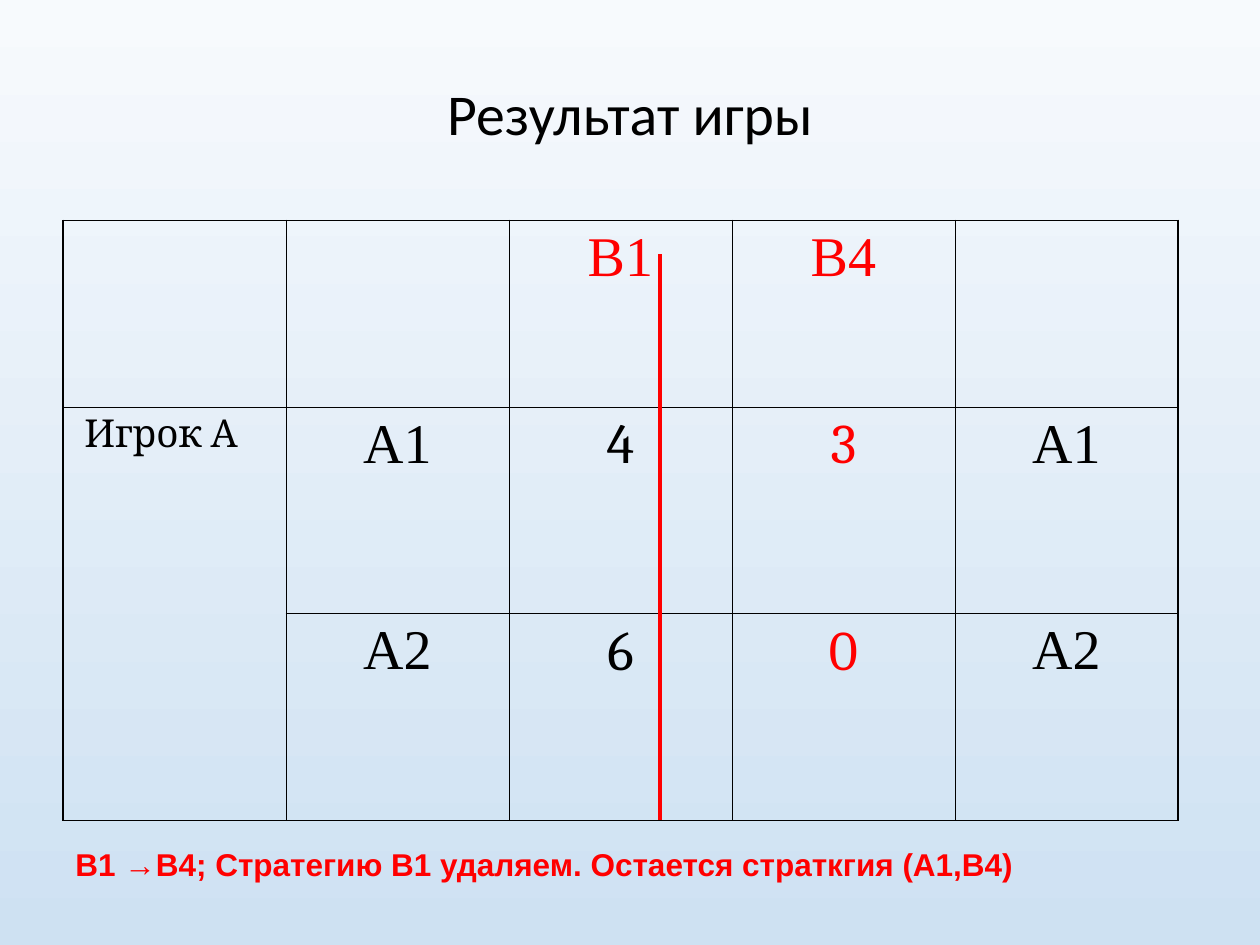
from dataclasses import dataclass

from lxml.etree import SubElement
from pptx import Presentation
from pptx.dml.color import RGBColor
from pptx.enum.shapes import MSO_CONNECTOR
from pptx.enum.text import MSO_ANCHOR, PP_ALIGN
from pptx.oxml.ns import qn
from pptx.util import Inches, Pt


@dataclass(frozen=True)
class Theme:
    ink: str = "000000"
    accent: str = "FF0000"
    sky_top: str = "F7FAFD"
    sky_bottom: str = "CEE1F2"
    title_size: float = 33
    cell_size: float = 32
    label_size: float = 22
    note_size: float = 18
    thin: float = 0.45
    thick: float = 1.08
    strike: float = 2.25


THEME = Theme()
TITLE = {"name": "Calibri", "size": Pt(THEME.title_size), "bold": False}
STRATEGY = {"name": "Times New Roman", "size": Pt(THEME.cell_size)}
PAYOFF = {"name": "Cambria", "size": Pt(THEME.cell_size)}
LABEL = {"name": "Cambria", "size": Pt(THEME.label_size)}
NOTE = {"name": "Arial", "size": Pt(THEME.note_size), "bold": True}

ROWS = [
    ["", "", "В1", "В4", ""],
    ["Игрок А", "А1", "4", "3", "А1"],
    ["", "А2", "6", "0", "А2"],
]
ROW_HEIGHTS = [1.48, 1.64, 1.64]
COLUMN_WIDTH = 1.77


def write(frame, text, style, color, align):
    para = frame.paragraphs[0]
    para.alignment = align
    span = para.add_run()
    span.text = text
    for name, value in style.items():
        setattr(span.font, name, value)
    span.font.color.rgb = RGBColor.from_string(color)
    return para


def paint_background(page):
    fill = page.background.fill
    fill.gradient()
    fill.gradient_angle = 270
    for stop, color in zip(fill.gradient_stops, (THEME.sky_top, THEME.sky_bottom)):
        stop.color.rgb = RGBColor.from_string(color)


def place_title(page, box, text):
    title = page.shapes.title
    title.left, title.top, title.width, title.height = box
    frame = title.text_frame
    frame.vertical_anchor = MSO_ANCHOR.MIDDLE
    para = write(frame, text, TITLE, THEME.ink, PP_ALIGN.CENTER)
    para.line_spacing = 0.9


def draw_borders(cell, widths):
    properties = cell._tc.get_or_add_tcPr()
    for side, width in widths.items():
        line = SubElement(properties, qn(f"a:ln{side}"), w=str(Pt(width)))
        fill = SubElement(line, qn("a:solidFill"))
        SubElement(fill, qn("a:srgbClr"), val=THEME.ink)


def fill_cell(cell, text, row, column):
    if not text:
        return
    if column == 0:
        cell.margin_left = Inches(0.17)
        write(cell.text_frame, text, LABEL, THEME.ink, PP_ALIGN.LEFT)
        return
    style = PAYOFF if text.isdigit() else STRATEGY
    color = THEME.accent if row == 0 or column == 3 else THEME.ink
    write(cell.text_frame, text, style, color, PP_ALIGN.CENTER)


def place_matrix(page, box):
    last_column = len(ROWS[0]) - 1
    table = page.shapes.add_table(len(ROWS), len(ROWS[0]), *box).table
    table.first_row = table.horz_banding = False
    for column in table.columns:
        column.width = Inches(COLUMN_WIDTH)
    for table_row, height in zip(table.rows, ROW_HEIGHTS):
        table_row.height = Inches(height)
    for row, texts in enumerate(ROWS):
        for column, text in enumerate(texts):
            cell = table.cell(row, column)
            draw_borders(cell, {
                "L": THEME.thick if column == 0 else THEME.thin,
                "R": THEME.thick if column == last_column else THEME.thin,
                "T": THEME.thick if row == 0 else THEME.thin,
                "B": THEME.thin,
            })
            cell.fill.background()
            fill_cell(cell, text, row, column)
    table.cell(1, 0).merge(table.cell(2, 0))


def place_note(page, box, text):
    frame = page.shapes.add_textbox(*box).text_frame
    frame.word_wrap = True
    write(frame, text, NOTE, THEME.accent, PP_ALIGN.LEFT)


def strike_column(page, x, top, bottom):
    line = page.shapes.add_connector(MSO_CONNECTOR.STRAIGHT, x, top, x, bottom)
    line.line.color.rgb = RGBColor.from_string(THEME.accent)
    line.line.width = Pt(THEME.strike)
    SubElement(line._element.spPr, qn("a:effectLst"))


def main():
    deck = Presentation()
    deck.slide_width, deck.slide_height = Inches(10), Inches(7.5)
    page = deck.slides.add_slide(deck.slide_layouts[5])
    paint_background(page)
    place_title(page, [Inches(v) for v in (0.5, 0.3, 9, 1.25)], "Результат игры")
    place_matrix(page, [Inches(v) for v in (0.5, 1.75, 8.83, 4.76)])
    place_note(page, [Inches(v) for v in (0.5, 6.66, 8.83, 0.7)],
               "В1 →B4; Стратегию В1 удаляем. Остается страткгия (А1,В4)")
    strike_column(page, Inches(5.24), Inches(2.02), Inches(6.51))
    deck.save("out.pptx")


if __name__ == "__main__":
    main()
